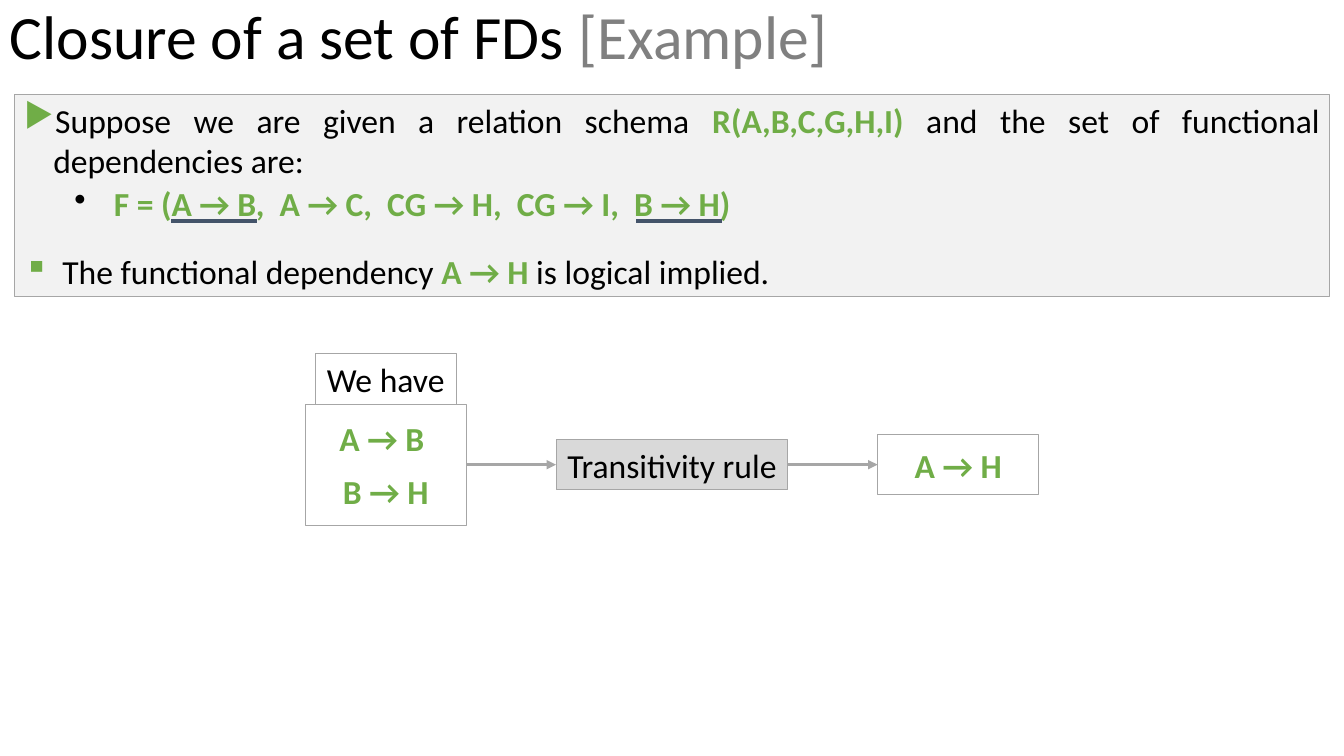
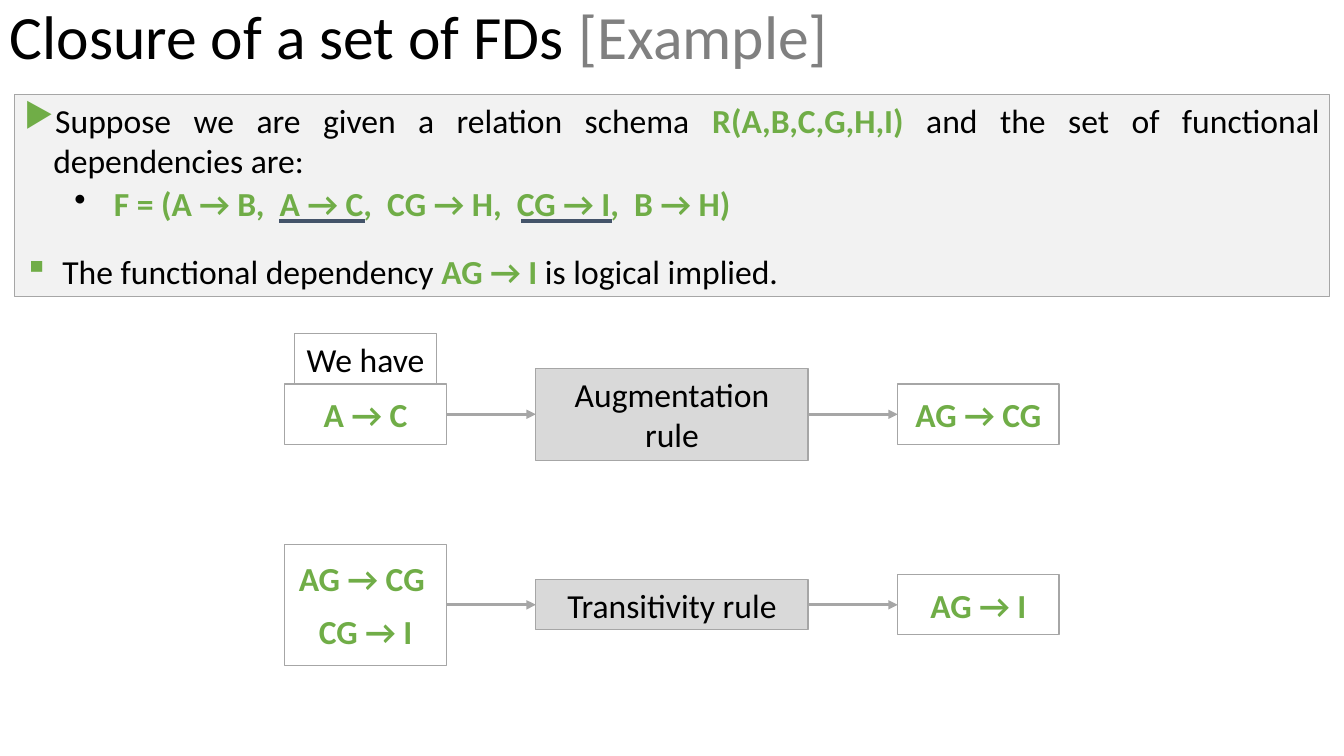
"""Build two slides that work through the closure of a set of functional dependencies."""
from dataclasses import dataclass

from lxml import etree
from pptx import Presentation
from pptx.dml.color import RGBColor
from pptx.enum.shapes import MSO_CONNECTOR, MSO_SHAPE
from pptx.enum.text import MSO_ANCHOR, PP_ALIGN
from pptx.oxml.ns import qn
from pptx.shapes.autoshape import Shape
from pptx.slide import Slide
from pptx.util import Inches, Pt

RECTANGLE = MSO_SHAPE.RECTANGLE
STRAIGHT = MSO_CONNECTOR.STRAIGHT
TOP, MIDDLE = MSO_ANCHOR.TOP, MSO_ANCHOR.MIDDLE
LEFT, CENTER, JUSTIFY = PP_ALIGN.LEFT, PP_ALIGN.CENTER, PP_ALIGN.JUSTIFY

FONT = "Calibri"
TITLE_SIZE, BODY_SIZE = 44, 24
BLACK, GRAY, GREEN, NAVY = "000000", "808080", "70AD47", "44546A"
BORDER, PANEL_FILL, RULE_FILL = "A6A6A6", "F2F2F2", "D9D9D9"

CELL = 0.1
COLUMNS, ROWS = 133.33, 75
FORMULA_WIDTH, FORMULA_HEIGHT = 16, 6
HEADER_WIDTH, HEADER_HEIGHT = 14, 5
ARROW_LENGTH = 8.9
UNDERLINE_ROW = 21.9


@dataclass(frozen=True)
class Box:
    """A rectangle in grid cells."""
    left: float
    top: float
    width: float
    height: float

    @property
    def right(self) -> float:
        """Return the column of the right edge."""
        return self.left + self.width


@dataclass(frozen=True)
class Span:
    """A piece of text in one style."""
    text: str
    color: str = BLACK
    bold: bool = False


@dataclass(frozen=True)
class Line:
    """A paragraph with its layout; indents are in grid cells."""
    spans: tuple[Span, ...]
    alignment: PP_ALIGN = CENTER
    before: float = 0
    spacing: float = 1.0
    level: int = 0
    margin: float = 0
    hanging: float = 0
    bullet: str = ""
    bullet_color: str = BLACK


@dataclass(frozen=True)
class Derivation:
    """Premises that lead through a rule to a conclusion."""
    center_row: float
    premises: tuple[str, ...]
    rule: str
    rule_width: float
    rule_height: float
    conclusion: str
    has_header: bool = False


@dataclass(frozen=True)
class Example:
    """The content that sets one slide apart from the other."""
    implied: str
    underlines: tuple[tuple[float, float], ...]
    derivations: tuple[Derivation, ...]


EXAMPLES = (
    Example("A → H ", ((17, 25.5), (63.1, 71.6)), (
        Derivation(46.1, ("A → B ", "B → H"), "Transitivity rule", 23, 5, "A → H", True),
    )),
    Example("AG → I ", ((27.7, 36.2), (51.7, 60.7)), (
        Derivation(41.1, ("A → C",), "Augmentation rule", 27, 9.1, "AG → CG", True),
        Derivation(60, ("AG → CG ", "CG → I"), "Transitivity rule", 27, 5, "AG → I"),
    )),
)


def cells(count: float) -> int:
    """Convert grid cells to slide units."""
    return Inches(count * CELL)


def color_of(value: str) -> RGBColor:
    """Turn a hex string into a colour."""
    return RGBColor.from_string(value)


def write_lines(shape: Shape, lines: tuple[Line, ...], size: float, anchor: MSO_ANCHOR) -> None:
    """Fill a shape with formatted paragraphs."""
    text_frame = shape.text_frame
    text_frame.word_wrap = True
    text_frame.vertical_anchor = anchor
    for index, line in enumerate(lines):
        paragraph = text_frame.add_paragraph() if index else text_frame.paragraphs[0]
        paragraph.alignment = line.alignment
        paragraph.level = line.level
        paragraph.space_before = Pt(line.before)
        paragraph.line_spacing = line.spacing
        for span in line.spans:
            run = paragraph.add_run()
            run.text = span.text
            run.font.name = FONT
            run.font.size = Pt(size)
            run.font.bold = span.bold
            run.font.color.rgb = color_of(span.color)
        if line.bullet:
            properties = paragraph._p.get_or_add_pPr()
            properties.set("marL", str(cells(line.margin)))
            properties.set("indent", str(-cells(line.hanging)))
            bullet_color = etree.SubElement(properties, qn("a:buClr"))
            etree.SubElement(bullet_color, qn("a:srgbClr"), val=line.bullet_color)
            etree.SubElement(properties, qn("a:buChar"), char=line.bullet)


def draw_box(slide: Slide, box: Box, lines: tuple[Line, ...], fill: str = "",
             anchor: MSO_ANCHOR = MIDDLE) -> None:
    """Draw a bordered rectangle with text."""
    shape = slide.shapes.add_shape(RECTANGLE, cells(box.left), cells(box.top),
                                   cells(box.width), cells(box.height))
    shape.shadow.inherit = False
    if fill:
        shape.fill.solid()
        shape.fill.fore_color.rgb = color_of(fill)
    else:
        shape.fill.background()
    shape.line.color.rgb = color_of(BORDER)
    shape.line.width = Pt(0.75)
    write_lines(shape, lines, BODY_SIZE, anchor)


def draw_line(slide: Slide, start: float, end: float, row: float, color: str,
              weight: float, has_arrow: bool = False) -> None:
    """Draw a horizontal line, with an arrowhead at its end if asked."""
    connector = slide.shapes.add_connector(STRAIGHT, cells(start), cells(row),
                                           cells(end), cells(row))
    connector.line.color.rgb = color_of(color)
    connector.line.width = Pt(weight)
    properties = connector.element.spPr
    if has_arrow:
        etree.SubElement(properties.find(qn("a:ln")), qn("a:tailEnd"), type="triangle")
    etree.SubElement(properties, qn("a:effectLst"))


def draw_title(slide: Slide) -> None:
    """Draw the title that the slides share."""
    title = slide.shapes.add_textbox(0, 0, cells(COLUMNS), cells(7.8))
    spans = (Span("Closure of a set of FDs "), Span("[Example]", GRAY))
    write_lines(title, (Line(spans, LEFT, spacing=0.9),), TITLE_SIZE, MIDDLE)


def draw_problem(slide: Slide, implied: str) -> None:
    """Draw the panel that states the schema and the implied dependency."""
    schema = Line((Span("Suppose we are given a relation schema "),
                   Span("R(A,B,C,G,H,I)", GREEN, True),
                   Span(" and the set of functional dependencies are:")),
                  JUSTIFY, 18, 1.0, 0, 2.9, 2.9, "▶", GREEN)
    dependencies = Line((Span("F = (A → B,  A → C,  CG → H,  CG → I,  B → H)", GREEN, True),),
                        JUSTIFY, 5, 0.9, 1, 8.9, 3.9, "•")
    claim = Line((Span("The functional dependency "), Span(implied, GREEN, True),
                  Span("is logical implied. ")),
                 JUSTIFY, 5, 1.5, 1, 3.8, 3.8, "▪", GREEN)
    draw_box(slide, Box(1.4, 9.4, 130.5, 20), (schema, dependencies, claim), PANEL_FILL, TOP)


def draw_formulas(slide: Slide, left: float, center_row: float, formulas: tuple[str, ...]) -> Box:
    """Draw a box of stacked formulas and return its place."""
    height = FORMULA_HEIGHT * len(formulas)
    box = Box(left, center_row - height / 2, FORMULA_WIDTH, height)
    lines = tuple(Line((Span(formula, GREEN, True),), before=9) for formula in formulas)
    draw_box(slide, box, lines)
    return box


def draw_derivation(slide: Slide, derivation: Derivation) -> None:
    """Draw one row of premises, rule and conclusion, centred on the slide."""
    row = derivation.center_row
    total = 2 * (FORMULA_WIDTH + ARROW_LENGTH) + derivation.rule_width
    premises = draw_formulas(slide, (COLUMNS - total) / 2, row, derivation.premises)
    if derivation.has_header:
        header = Box(premises.left + (FORMULA_WIDTH - HEADER_WIDTH) / 2,
                     premises.top - HEADER_HEIGHT, HEADER_WIDTH, HEADER_HEIGHT)
        draw_box(slide, header, (Line((Span("We have"),)),))
    rule = Box(premises.right + ARROW_LENGTH, row - derivation.rule_height / 2,
               derivation.rule_width, derivation.rule_height)
    draw_box(slide, rule, (Line((Span(derivation.rule),)),), RULE_FILL)
    draw_formulas(slide, rule.right + ARROW_LENGTH, row, (derivation.conclusion,))
    for source in (premises, rule):
        draw_line(slide, source.right, source.right + ARROW_LENGTH, row, BORDER, 2.25, True)


def main() -> None:
    """Build and save the presentation."""
    presentation = Presentation()
    presentation.slide_width = cells(COLUMNS)
    presentation.slide_height = cells(ROWS)
    blank_layout = presentation.slide_layouts[6]
    for example in EXAMPLES:
        slide = presentation.slides.add_slide(blank_layout)
        draw_title(slide)
        draw_problem(slide, example.implied)
        for derivation in example.derivations:
            draw_derivation(slide, derivation)
        for start, end in example.underlines:
            draw_line(slide, start, end, UNDERLINE_ROW, NAVY, 3)
    presentation.save("out.pptx")


if __name__ == "__main__":
    main()
